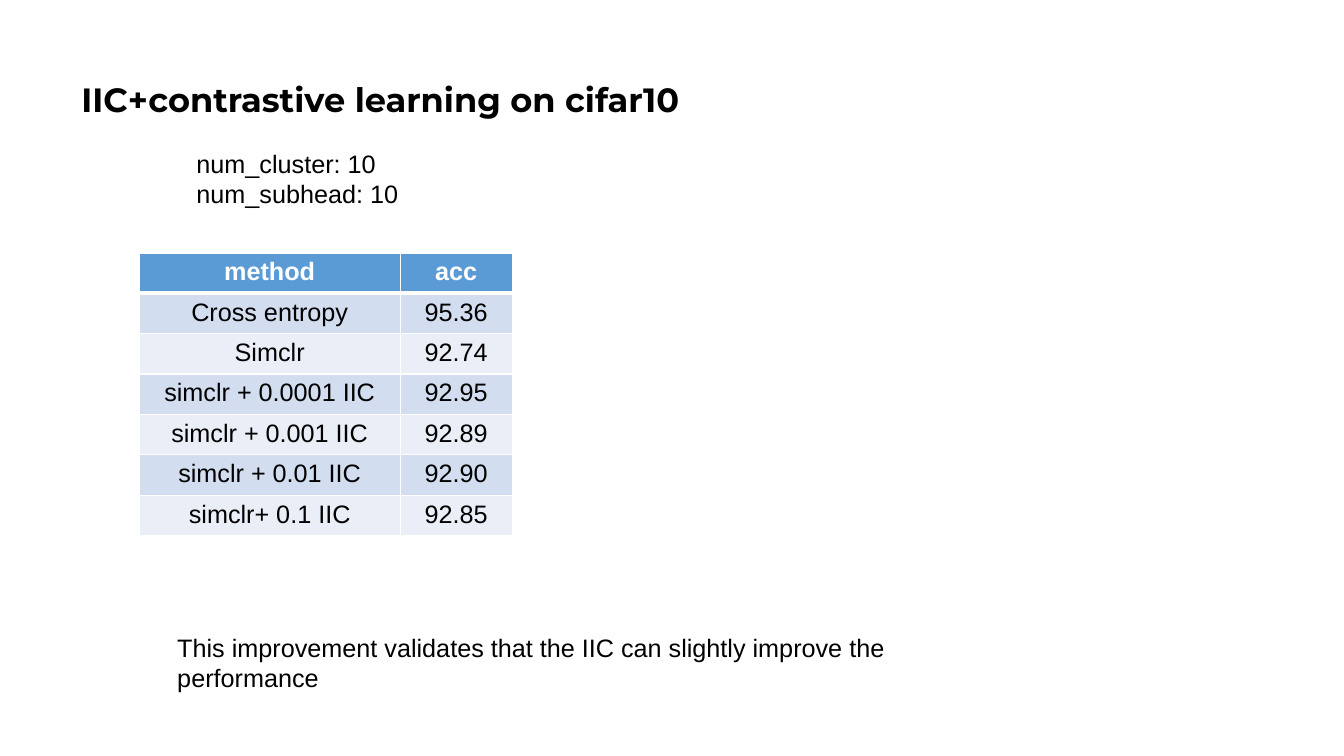
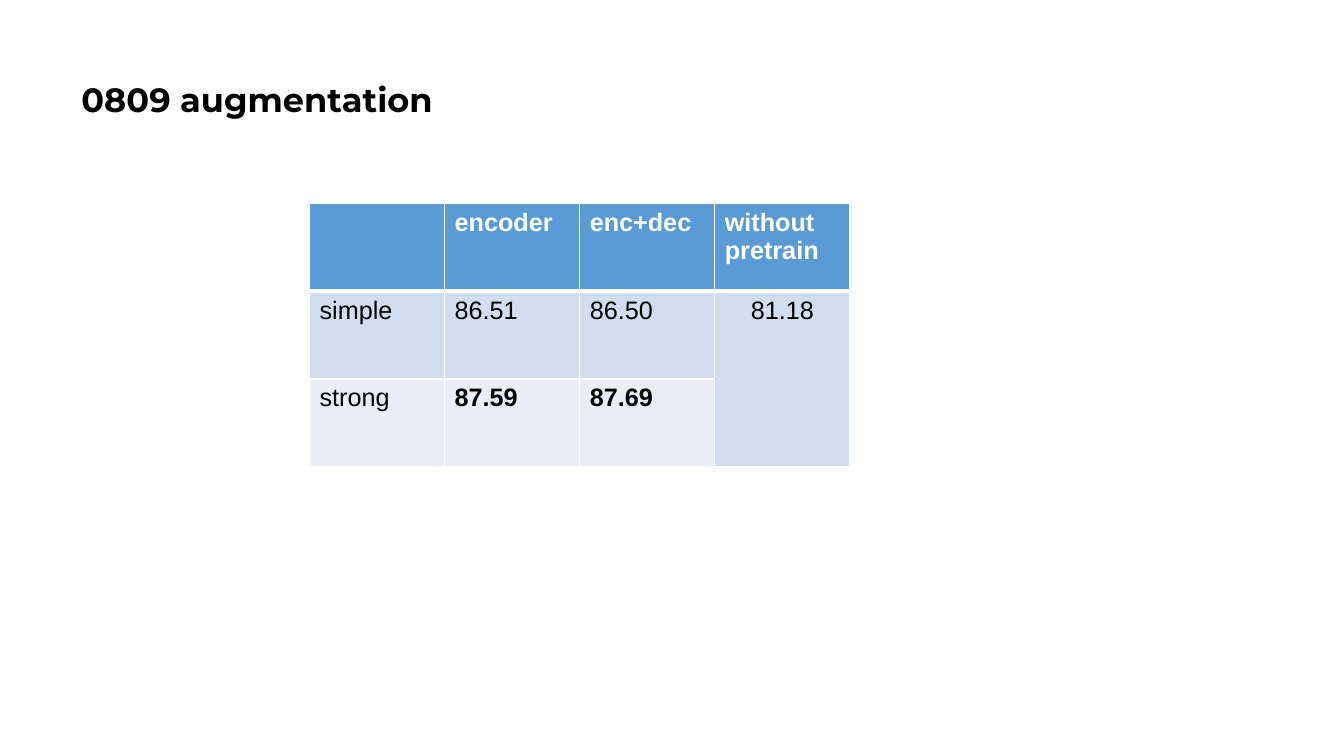
from lxml import etree
from pptx import Presentation
from pptx.dml.color import RGBColor
from pptx.enum import text as t
from pptx.oxml import ns
from pptx.util import Inches, Pt

HUES = {"head": "5B9BD5", "odd": "D2DEEF", "even": "EAEFF7",
        "line": "FFFFFF", "light": "FFFFFF", "ink": "000000"}
MID = t.PP_ALIGN.CENTER
LEFT = t.PP_ALIGN.LEFT


def write(para, words, size=18, face="Arial", hue="ink", bold=False):
    run = para.add_run()
    run.text = words
    font = run.font
    font.size, font.name, font.bold = Pt(size), face, bold
    font.color.rgb = RGBColor.from_string(HUES[hue])


def grid(slide, left, top, widths, height, rows, align, strong=()):
    frame = slide.shapes.add_table(
        len(rows), len(widths), Inches(left), Inches(top),
        Inches(sum(widths)), Inches(height * len(rows)))
    table = frame.table
    for col, width in zip(table.columns, widths):
        col.width = Inches(width)
    for r, row in enumerate(rows):
        table.rows[r].height = Inches(height)
        band = "head" if r == 0 else "odd" if r % 2 else "even"
        for c, words in enumerate(row):
            cell = table.cell(r, c)
            # Thin borders, with a thick rule under the header
            props = cell._tc.get_or_add_tcPr()
            for side in "LRTB":
                thick = (r, side) in ((0, "B"), (1, "T"))
                line = etree.SubElement(props, ns.qn("a:ln" + side),
                                        w=str(Pt(3 if thick else 1)))
                fill = etree.SubElement(line, ns.qn("a:solidFill"))
                etree.SubElement(fill, ns.qn("a:srgbClr"), val=HUES["line"])
            cell.fill.solid()
            cell.fill.fore_color.rgb = RGBColor.from_string(HUES[band])
            para = cell.text_frame.paragraphs[0]
            para.alignment = align
            if words:
                write(para, words, hue="ink" if r else "light",
                      bold=r == 0 or words in strong)
    return table


prs = Presentation()
prs.slide_width, prs.slide_height = Inches(13.33), Inches(7.5)

# Slides with their shared title style
pages = []
for title in ("IIC+contrastive learning on cifar10", "0809 augmentation"):
    page = prs.slides.add_slide(prs.slide_layouts[6])
    box = page.shapes.add_textbox(Inches(0.71), Inches(0.28),
                                  Inches(11.5), Inches(1.45))
    box.text_frame.word_wrap = True
    box.text_frame.vertical_anchor = t.MSO_ANCHOR.MIDDLE
    para = box.text_frame.paragraphs[0]
    para.line_spacing = 0.9
    write(para, title, 24, "Montserrat", bold=True)
    pages.append(page)
first, second = pages

# Accuracy by method
grid(first, 1.38, 2.51, (2.59, 1.11), 0.4, [
    ("method", "acc"),
    ("Cross entropy", "95.36"),
    ("Simclr", "92.74"),
    ("simclr + 0.0001 IIC", "92.95"),
    ("simclr + 0.001 IIC", "92.89"),
    ("simclr + 0.01 IIC", "92.90"),
    ("simclr+ 0.1 IIC", "92.85"),
], MID)

# Settings above the table and the finding below it
notes = [
    (1.85, 1.42, 2.91, 0.71, ["num_cluster: 10", "num_subhead: 10"]),
    (1.66, 6.22, 8.4, 0.71, ["This improvement validates that the IIC can "
                             "slightly improve the performance"]),
]
for left, top, width, height, lines in notes:
    box = first.shapes.add_textbox(Inches(left), Inches(top),
                                   Inches(width), Inches(height))
    body = box.text_frame
    body.word_wrap = True
    for i, words in enumerate(lines):
        write(body.add_paragraph() if i else body.paragraphs[0], words)

# Accuracy by augmentation
table = grid(second, 3.07, 2.02, (1.34,) * 4, 0.87, [
    ("", "encoder", "enc+dec", "without pretrain"),
    ("simple", "86.51", "86.50", "81.18"),
    ("strong", "87.59", "87.69", ""),
], LEFT, strong=("87.59", "87.69"))
shared = table.cell(1, 3)
shared.merge(table.cell(2, 3))
shared.text_frame.paragraphs[0].alignment = MID

prs.save("out.pptx")
